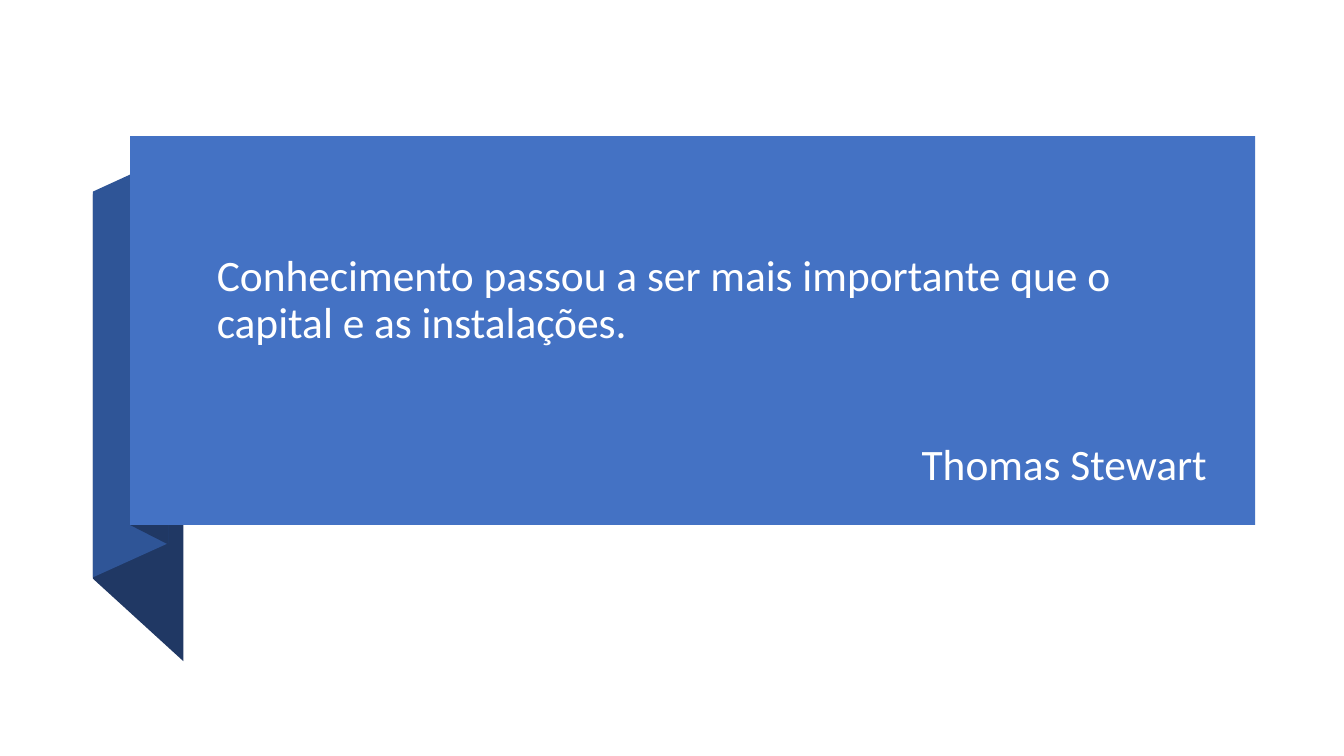
"""Build a quotation slide with a folded ribbon banner."""
import pptx
import pptx.dml.color
import pptx.enum.shapes
import pptx.enum.text
import pptx.util

Cm = pptx.util.Cm
Pt = pptx.util.Pt
ALIGN = pptx.enum.text.PP_ALIGN

QUOTE = "Conhecimento passou a ser mais importante que o capital e as instalações."
AUTHOR = "Thomas Stewart"
FONT, FONT_SIZE, LINE_SPACING = "Calibri", 31, 0.9
AUTHOR_GAP = 68

NAVY, BLUE, LIGHT_BLUE, WHITE = "203864", "2F5597", "4472C4", "FFFFFF"
BANNER = (3.28, 3.43, 28.35, 9.8)
TITLE = (5.21, 4.47, 25.65, 8.0)
RIBBON_FOLDS = [
    (NAVY, [(2.34, 14.58), (4.62, 16.66), (4.62, 7.01), (2.34, 4.9)]),
    (BLUE, [(2.34, 14.55), (4.24, 13.69), (4.24, 3.96), (2.34, 4.83)]),
    (NAVY, [(3.28, 13.23), (4.24, 13.72), (4.24, 3.94), (3.28, 3.45)]),
]


def rgb(color):
    return pptx.dml.color.RGBColor.from_string(color)


def paint(shape, color):
    shape.fill.solid()
    shape.fill.fore_color.rgb = rgb(color)
    shape.line.fill.background()
    shape.shadow.inherit = False


def add_fold(slide, color, points):
    start, *others = [(Cm(x), Cm(y)) for x, y in points]
    builder = slide.shapes.build_freeform(*start)
    builder.add_line_segments(others, close=True)
    paint(builder.convert_to_shape(), color)


def write_title(title):
    title.left, title.top, title.width, title.height = map(Cm, TITLE)
    frame = title.text_frame
    frame.text = f"{QUOTE}\n{AUTHOR}"
    frame.word_wrap = True
    frame.auto_size = pptx.enum.text.MSO_AUTO_SIZE.NONE
    frame.vertical_anchor = pptx.enum.text.MSO_ANCHOR.BOTTOM
    frame.margin_right = Cm(0.45)
    for paragraph, alignment, gap in zip(
        frame.paragraphs, (ALIGN.LEFT, ALIGN.RIGHT), (0, AUTHOR_GAP)
    ):
        paragraph.alignment = alignment
        paragraph.line_spacing = LINE_SPACING
        paragraph.space_before = Pt(gap)
        for run in paragraph.runs:
            run.font.name = FONT
            run.font.size = Pt(FONT_SIZE)
            run.font.color.rgb = rgb(WHITE)


def main():
    presentation = pptx.Presentation()
    presentation.slide_width, presentation.slide_height = Cm(33.87), Cm(19.05)
    slide = presentation.slides.add_slide(presentation.slide_layouts[5])
    for color, points in RIBBON_FOLDS:
        add_fold(slide, color, points)
    banner = slide.shapes.add_shape(
        pptx.enum.shapes.MSO_SHAPE.RECTANGLE, *map(Cm, BANNER)
    )
    paint(banner, LIGHT_BLUE)
    title = slide.shapes.title
    write_title(title)
    banner.element.addnext(title.element)
    presentation.save("out.pptx")


if __name__ == "__main__":
    main()
